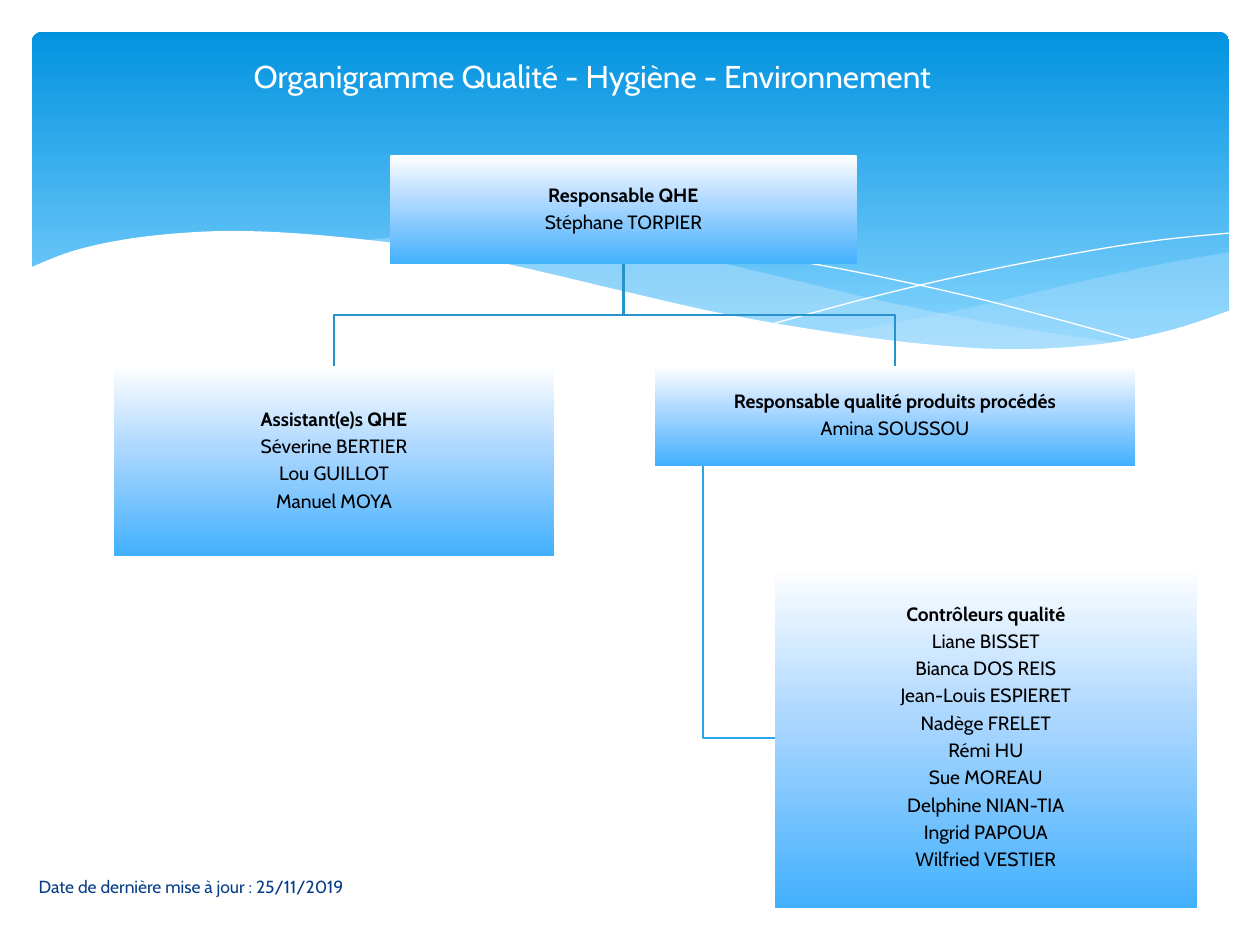
from lxml import etree
from pptx import Presentation
from pptx.dml.color import RGBColor
from pptx.enum.shapes import MSO_SHAPE
from pptx.enum.text import MSO_ANCHOR, PP_ALIGN
from pptx.oxml.ns import qn
from pptx.util import Cm, Pt

TITLE = "Organigramme Qualité - Hygiène - Environnement"
UPDATED = "Date de dernière mise à jour : 25/11/2019"
FONT = "Cabin"

# Position and size in centimetres, then heading and names
BOXES = {
    "manager": ((7.87, 3.12, 9.4, 2.21), ["Responsable QHE", "Stéphane TORPIER"]),
    "assistants": ((2.29, 7.37, 8.89, 3.84), [
        "Assistant(e)s QHE", "Séverine BERTIER", "Lou GUILLOT", "Manuel MOYA"]),
    "products": ((13.21, 7.37, 9.67, 2.03), [
        "Responsable qualité produits procédés", "Amina SOUSSOU"]),
    "inspectors": ((15.62, 11.43, 8.51, 6.88), [
        "Contrôleurs qualité", "Liane BISSET", "Bianca DOS REIS",
        "Jean-Louis ESPIERET", "Nadège FRELET", "Rémi HU", "Sue MOREAU",
        "Delphine NIAN-TIA", "Ingrid PAPOUA", "Wilfried VESTIER"]),
}
BOX_GRADIENT = [(0, "FFFFFF"), (44, "ACD7FF"), (100, "42B0FD")]
BANNER_GRADIENT = [(0, "0293E0"), (90, "83D3FE")]

# Edges of the waves, as points that a smooth curve passes through
RIGHT_WAVE = (
    [(24.79, 5.08), (23.39, 5.33), (21.87, 5.66), (19.79, 6.15), (17.93, 6.53),
     (16.79, 6.73)],
    [(16.79, 6.73), (18.26, 6.91), (19.53, 7.04), (20.93, 7.04), (22.15, 6.96),
     (23.39, 6.73), (24.79, 6.27)],
)
MIDDLE_WAVE = (
    [(22.68, 6.93), (20.5, 6.6), (17.93, 6.1), (15.98, 5.64), (14.1, 5.21),
     (12.42, 4.93), (10.67, 4.75), (9.17, 4.7), (7.26, 4.85)],
    [(7.26, 4.85), (9.19, 5.16), (11.4, 5.64), (13.46, 6.1), (15.7, 6.55),
     (17.65, 6.86), (19.33, 7.04), (21.03, 7.06), (22.68, 6.93)],
)
FALLING_LINE = [(7.85, 4.95), (8.97, 4.8), (10.57, 4.75), (12.42, 4.83), (14.78, 5.08),
                (16.89, 5.41), (19.3, 5.92), (21.11, 6.38), (23.04, 6.91)]
RISING_LINE = [(15.57, 6.53), (17.65, 5.97), (19.71, 5.49), (22, 5.05), (23.47, 4.83),
               (24.77, 4.7)]
WHITE_WAVE = [(24.82, 6.25), (23.62, 6.65), (22.23, 6.93), (20.55, 7.04), (18.9, 6.96),
              (16.97, 6.73), (14.71, 6.35), (12.78, 5.92), (10.62, 5.41), (8.64, 5),
              (6.88, 4.78), (5.36, 4.67), (4.09, 4.67), (2.69, 4.8), (1.5, 5.05),
              (0.58, 5.41)]
WHITE_CORNERS = [(0.58, 8.36), (24.82, 8.36)]


def color(value):
    return RGBColor.from_string(value)


def smooth(points, steps=6):
    """Return a Catmull-Rom curve through the points."""
    padded = [points[0], *points, points[-1]]
    curve = [points[0]]
    for a, b, c, d in zip(padded, padded[1:], padded[2:], padded[3:]):
        for step in range(1, steps + 1):
            t = step / steps
            curve.append(tuple(
                (2 * q + (r - p) * t + (2 * p - 5 * q + 4 * r - s) * t ** 2
                 + (3 * q - p - 3 * r + s) * t ** 3) / 2
                for p, q, r, s in zip(a, b, c, d)))
    return curve


def add_outline(shapes, points, fill=None, opacity=100, line=None, width=0):
    """Draw a closed area if it has a fill, otherwise an open line."""
    (start_x, start_y), *others = [(Cm(x), Cm(y)) for x, y in points]
    builder = shapes.build_freeform(start_x, start_y)
    builder.add_line_segments(others, close=fill is not None)
    shape = builder.convert_to_shape()
    shape.shadow.inherit = False
    if fill:
        shape.fill.solid()
        shape.fill.fore_color.rgb = color(fill)
        rgb = shape._element.spPr.find(".//" + qn("a:srgbClr"))
        etree.SubElement(rgb, qn("a:alpha"), val=str(opacity * 1000))
    else:
        shape.fill.background()
    if line:
        shape.line.color.rgb = color(line)
        shape.line.width = Pt(width)
    else:
        shape.line.fill.background()


def add_gradient_shape(shapes, kind, place, stops):
    """Add a shape shaded from top to bottom."""
    shape = shapes.add_shape(kind, *map(Cm, place))
    shape.shadow.inherit = False
    shape.line.fill.background()
    shape.fill.gradient()
    shape.fill.gradient_angle = 270
    stop_list = shape._element.spPr.find(".//" + qn("a:gsLst"))
    for stop in list(stop_list):
        stop_list.remove(stop)
    for position, value in stops:
        stop = etree.SubElement(stop_list, qn("a:gs"), pos=str(position * 1000))
        etree.SubElement(stop, qn("a:srgbClr"), val=value)
    return shape


def write(shape, lines, size, font_color, align=PP_ALIGN.CENTER, heading=False,
          inset=None, line_spacing=None, space_after=None):
    frame = shape.text_frame
    frame.word_wrap = True
    frame.vertical_anchor = MSO_ANCHOR.MIDDLE
    if inset is not None:
        frame.margin_left = frame.margin_right = Cm(inset)
        frame.margin_top = frame.margin_bottom = Cm(inset)
    for index, line in enumerate(lines):
        paragraph = frame.add_paragraph() if index else frame.paragraphs[0]
        paragraph.alignment = align
        if line_spacing:
            paragraph.line_spacing = line_spacing
        if space_after:
            paragraph.space_after = Pt(space_after)
        run = paragraph.add_run()
        run.text = line
        run.font.name = FONT
        run.font.size = Pt(size)
        run.font.bold = heading and index == 0
        run.font.color.rgb = color(font_color)


def add_background(shapes):
    banner = add_gradient_shape(shapes, MSO_SHAPE.ROUNDED_RECTANGLE,
                                (0.64, 0.64, 24.14, 6.86), BANNER_GRADIENT)
    banner.adjustments[0] = 0.03
    for (upper, lower), opacity in ((RIGHT_WAVE, 29), (MIDDLE_WAVE, 40)):
        add_outline(shapes, smooth(upper) + smooth(lower), fill="C6E7FC", opacity=opacity)
    for points in (FALLING_LINE, RISING_LINE):
        add_outline(shapes, smooth(points), line="FFFFFF")
    add_outline(shapes, smooth(WHITE_WAVE) + WHITE_CORNERS, fill="FFFFFF")


def add_links(shapes):
    places = {name: place for name, (place, _) in BOXES.items()}
    left, top, width, height = places["products"]
    end_x, end_top, _, end_height = places["inspectors"]
    trunk_x, end_y = left + width / 10, end_top + end_height / 2
    add_outline(shapes, [(trunk_x, top + height), (trunk_x, end_y), (end_x, end_y)],
                line="2CA5E6", width=1.25)

    left, top, width, height = places["manager"]
    start_x, start_y = left + width / 2, top + height
    for name in ("products", "assistants"):
        child_left, child_top, child_width, _ = places[name]
        child_x, middle_y = child_left + child_width / 2, (start_y + child_top) / 2
        add_outline(shapes, [(start_x, start_y), (start_x, middle_y),
                             (child_x, middle_y), (child_x, child_top)],
                    line="2792CB", width=1.25)


def main():
    presentation = Presentation()
    presentation.slide_width, presentation.slide_height = Cm(25.4), Cm(19.05)
    slide = presentation.slides.add_slide(presentation.slide_layouts[5])
    shapes = slide.shapes
    add_background(shapes)
    add_links(shapes)
    for place, lines in BOXES.values():
        box = add_gradient_shape(shapes, MSO_SHAPE.RECTANGLE, place, BOX_GRADIENT)
        write(box, lines, 11, "000000", heading=True, inset=0.03,
              line_spacing=0.9, space_after=3.7)

    title = shapes.title
    title.left, title.top, title.width, title.height = map(Cm, (0.51, 0.74, 22.86, 1.57))
    write(title, [TITLE], 18, "FFFFFF")
    shapes._spTree.append(title._element)  # in front of the banner

    date = shapes.add_textbox(*map(Cm, (0.53, 17.37, 10.52, 1.02)))
    write(date, [UPDATED], 10, "073E87", align=PP_ALIGN.LEFT)
    presentation.save("out.pptx")


if __name__ == "__main__":
    main()
